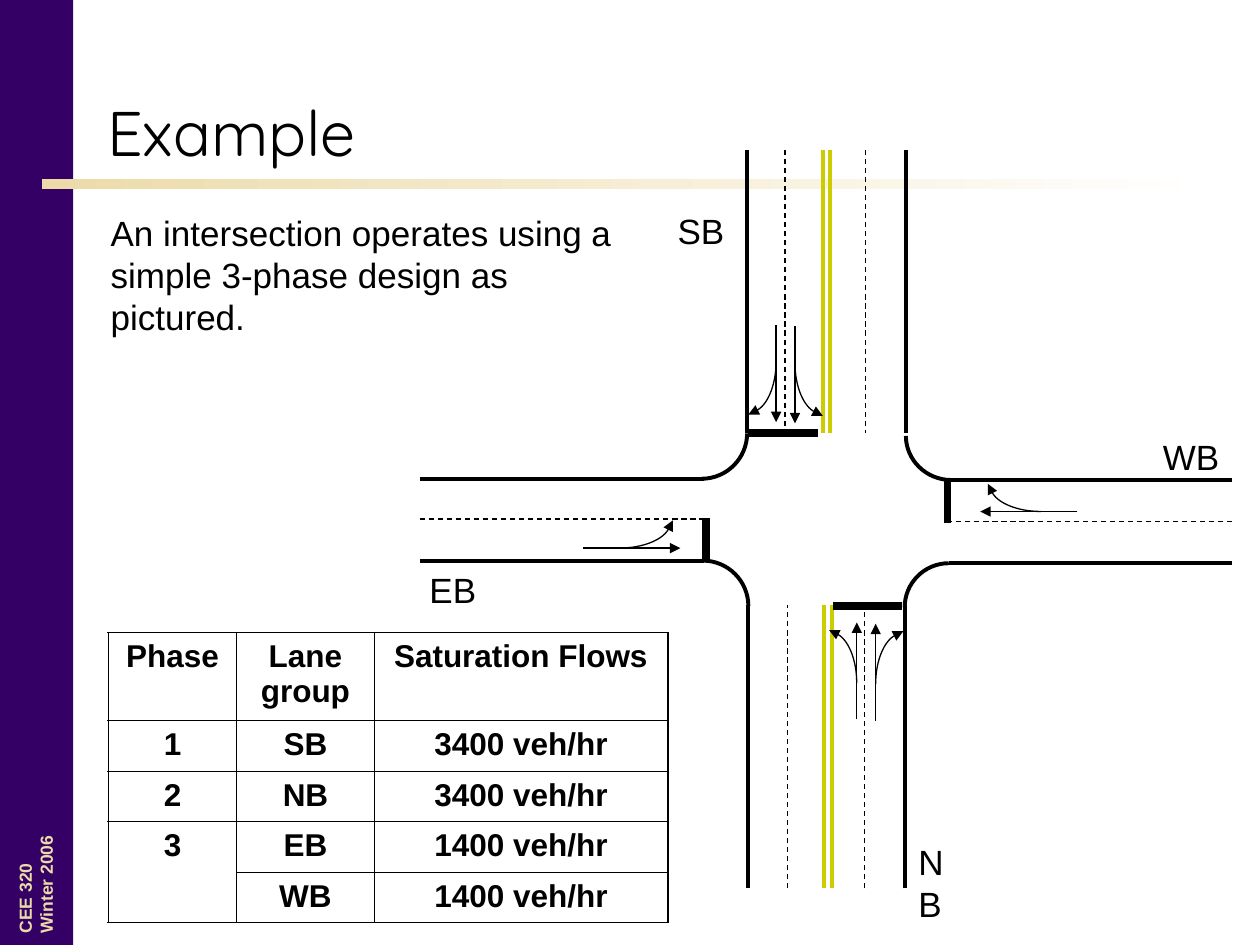
from lxml import etree
from pptx import Presentation
from pptx import util as u
from pptx.dml.color import RGBColor
from pptx.enum import dml, shapes, text
from pptx.oxml.ns import qn

PX = 9144  # 100 px to the inch
BLACK, PURPLE, GOLD, YELLOW = "000000", "340066", "ECDBA9", "CCCC00"
EDGE, THIN, BAR = 2.25, 0.75, 4.5


def px(value):
    return u.Emu(round(value * PX))


def colour(value):
    return RGBColor.from_string(value)


def write(frame, words, size=20, font="Arial", ink=BLACK, bold=False,
          align=text.PP_ALIGN.LEFT, anchor=text.MSO_ANCHOR.TOP, wrap=True):
    frame.word_wrap = wrap
    frame.vertical_anchor = anchor
    paragraph = frame.paragraphs[0]
    paragraph.text = words
    paragraph.alignment = align
    for run in paragraph.runs:
        run.font.size = u.Pt(size)
        run.font.name = font
        run.font.bold = bold
        run.font.color.rgb = colour(ink)


def add_text(slide, box, words, **fmt):
    label = slide.shapes.add_textbox(*map(px, box))
    write(label.text_frame, words, **fmt)
    return label


def add_band(slide, box):
    band = slide.shapes.add_shape(shapes.MSO_SHAPE.RECTANGLE, *map(px, box))
    band.shadow.inherit = False
    band.line.fill.background()
    return band


def add_line(slide, start, end, width, ink=BLACK, dashed=False, arrow=False):
    stroke = slide.shapes.add_connector(
        shapes.MSO_CONNECTOR.STRAIGHT, *map(px, (*start, *end)))
    stroke.line.width = u.Pt(width)
    stroke.line.color.rgb = colour(ink)
    if dashed:
        stroke.line.dash_style = dml.MSO_LINE.DASH
    properties = stroke._element.spPr
    if arrow:
        etree.SubElement(properties.find(qn("a:ln")), qn("a:tailEnd"), type="triangle")
    etree.SubElement(properties, qn("a:effectLst"))


def add_curve(slide, controls, width, steps=16):
    """Draw the cubic curve given by four control points."""
    points = []
    for step in range(steps + 1):
        t = step / steps
        weights = ((1 - t) ** 3, 3 * t * (1 - t) ** 2, 3 * t * t * (1 - t), t ** 3)
        points.append(tuple(px(sum(w * c[axis] for w, c in zip(weights, controls)))
                            for axis in (0, 1)))
    builder = slide.shapes.build_freeform(*points[0], scale=1.0)
    builder.add_line_segments(points[1:], close=False)
    curve = builder.convert_to_shape()
    curve.shadow.inherit = False
    curve.fill.background()
    curve.line.width = u.Pt(width)
    curve.line.color.rgb = colour(BLACK)


def add_lane_arrow(slide, start, ahead, side):
    """Draw a through arrow with a turn branching off towards the side."""
    def at(forward, sideways):
        return tuple(s + forward * a + sideways * b
                     for s, a, b in zip(start, ahead, side))

    add_line(slide, start, at(77, 0), THIN, arrow=True)
    add_curve(slide, [at(29, 0), at(48, 0), at(64, 7), at(68, 16)], THIN)
    add_line(slide, at(68, 16), at(71, 22), THIN, arrow=True)


def add_frame(slide, box):
    """Purple side band, fading rule and course name."""
    left, top, width, height = box
    side = add_band(slide, (left, top, 58, height))
    side.fill.solid()
    side.fill.fore_color.rgb = colour(PURPLE)

    rule = add_band(slide, (left + 33, top + 142, 925, 8))
    rule.fill.gradient()
    rule.fill.gradient_angle = 0
    for stop, position, ink in zip(rule.fill.gradient_stops, (0, 1), (GOLD, "FFFFFF")):
        stop.position = position
        stop.color.rgb = colour(ink)

    course = add_text(slide, (left - 30, top + 670, 117, 44), "CEE 320\nWinter 2006",
                      size=10, ink=GOLD, bold=True)
    course.rotation = 270


def add_heading(slide, box):
    left, top, width, height = box
    title = slide.shapes.title
    title.left, title.top, title.width, title.height = map(px, (left, top, width, 108))
    write(title.text_frame, "Example", size=36, font="Quicksand",
          anchor=text.MSO_ANCHOR.MIDDLE)
    add_text(slide, (left + 3, top + 113, 444, 110),
             "An intersection operates using a simple 3-phase design as pictured.")


def add_intersection(slide, box):
    left, top, width, height = box

    def at(x, y):
        return left + x, top + y

    # Roads: kerbs, lane dividers and double centre lines
    kerb, divider = dict(width=EDGE), dict(width=THIN, dashed=True)
    centre = dict(width=EDGE, ink=YELLOW)
    avenue = (kerb, divider, centre, centre, divider, kerb)
    street = (kerb, divider, kerb)
    for near, far, offsets in ((0, 225, (260, 290, 320, 326, 354, 386)),
                               (height, 361, (261, 292, 321, 327, 353, 385))):
        for x, style in zip(offsets, avenue):
            add_line(slide, at(x, near), at(x, far), **style)
    for near, far, offsets in ((0, 226, (261, 293, 326)),
                               (width, 420, (262, 295, 328))):
        for y, style in zip(offsets, street):
            add_line(slide, at(near, y), at(far, y), **style)

    # Rounded corners, from the street kerb to the avenue kerb
    for x0, y0, x1, y1 in ((224, 261, 260, 225), (422, 262, 386, 227),
                           (225, 326, 261, 362), (420, 328, 385, 363)):
        bend_x, bend_y = x0 + 0.55 * (x1 - x0), y1 - 0.55 * (y1 - y0)
        add_curve(slide, [at(x0, y0), at(bend_x, y0), at(x1, bend_y), at(x1, y1)], EDGE)

    # Stop bars
    for x0, y0, x1, y1 in ((227, 326, 227, 292), (419, 296, 419, 262),
                           (328, 362, 383, 362), (261, 225, 316, 225)):
        add_line(slide, at(x0, y0), at(x1, y1), BAR)

    # Permitted movements
    north, south, east, west = (0, -1), (0, 1), (1, 0), (-1, 0)
    for x, y, ahead, side in ((522, 287, west, north), (130, 316, east, north),
                              (347, 452, north, west), (362, 453, north, east),
                              (283, 139, south, west), (298, 140, south, east)):
        add_lane_arrow(slide, at(x, y), ahead, side)

    # Approach names
    for name, x, y, label_width in (("NB", 386, 543, 58), ("SB", 195, 42, 57),
                                    ("EB", -2, 327, 57), ("WB", 580, 222, 65)):
        add_text(slide, (*at(x, y), label_width, 44), name, wrap=False)


def add_borders(cell, widths):
    properties = cell._tc.get_or_add_tcPr()
    for side, width in zip(("lnL", "lnR", "lnT", "lnB"), widths):
        border = etree.SubElement(properties, qn("a:" + side), w=str(u.Pt(width)))
        fill = etree.SubElement(border, qn("a:solidFill"))
        etree.SubElement(fill, qn("a:srgbClr"), val=BLACK)


def add_flow_table(slide, box):
    rows = (("Phase", "Lane group", "Saturation Flows"),
            ("1", "SB", "3400 veh/hr"),
            ("2", "NB", "3400 veh/hr"),
            ("3", "EB", "1400 veh/hr"),
            ("", "WB", "1400 veh/hr"))
    last_row, last_column = len(rows), len(rows[0])
    table = slide.shapes.add_table(last_row, last_column, *map(px, box)).table
    table.first_row = table.horz_banding = False
    for column, width in zip(table.columns, (102, 109, 233)):
        column.width = px(width)
    for row, height in zip(table.rows, (70, 40, 40, 40, 40)):
        row.height = px(height)
    table.cell(3, 0).merge(table.cell(4, 0))

    outer, inner = 1.08, 0.45
    for r, row in enumerate(rows):
        for c, words in enumerate(row):
            cell = table.cell(r, c)
            if not cell.is_spanned:
                write(cell.text_frame, words, size=18, bold=True,
                      align=text.PP_ALIGN.CENTER)
                on_rim = (c == 0, c + 1 == last_column,
                          r == 0, r + cell.span_height == last_row)
                add_borders(cell, [outer if rim else inner for rim in on_rim])
            cell.fill.background()


def main():
    deck = Presentation()
    deck.slide_width, deck.slide_height = px(1000), px(750)
    slide = deck.slides.add_slide(deck.slide_layouts.get_by_name("Title Only"))
    add_frame(slide, (0, 0, 1000, 750))
    add_heading(slide, (75, 50, 883, 223))
    add_intersection(slide, (333, 119, 645, 586))
    add_flow_table(slide, (86, 502, 444, 230))
    deck.save("out.pptx")


if __name__ == "__main__":
    main()
